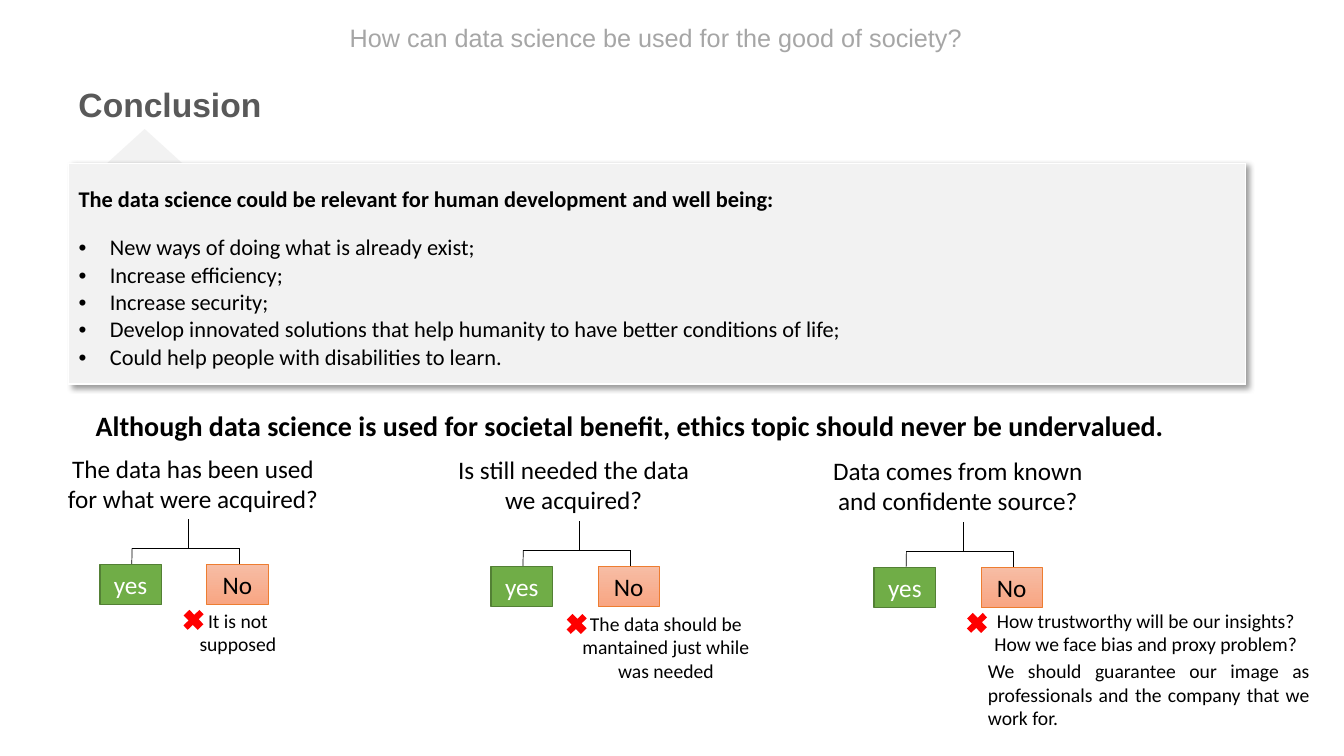
from lxml import etree
from pptx import Presentation
from pptx.dml.color import RGBColor
from pptx.enum.shapes import MSO_CONNECTOR, MSO_SHAPE
from pptx.enum.text import MSO_ANCHOR, PP_ALIGN
from pptx.oxml.ns import qn
from pptx.util import Pt

LEFT, MID, FULL = PP_ALIGN.LEFT, PP_ALIGN.CENTER, PP_ALIGN.JUSTIFY
RECT, PEAK, PLUS = MSO_SHAPE.RECTANGLE, MSO_SHAPE.ISOSCELES_TRIANGLE, MSO_SHAPE.CROSS
LINE = MSO_CONNECTOR.STRAIGHT
TOP, CENTRE = MSO_ANCHOR.TOP, MSO_ANCHOR.MIDDLE
SCALE = 9144
COLORS = {
    "black": "000000", "white": "FFFFFF", "title": "595959", "topic": "A6A6A6",
    "panel": "F2F2F2", "green": "70AD47", "moss": "538035", "orange": "ED7D31",
    "light": "F7BDA5", "salmon": "F8A582", "red": "FF0000",
}
POINTS = [
    "New ways of doing what is already exist;",
    "Increase efficiency;",
    "Increase security;",
    "Develop innovated solutions that help humanity to have better conditions of life;",
    "Could help people with disabilities to learn.",
]
TREES = [
    (131, 544, (51, 445, 281, 71), "The data has been used for what were acquired?"),
    (519, 546, (444, 446, 250, 71), "Is still needed the data we acquired?"),
    (899, 547, (807, 447, 286, 71), "Data comes from known and confidente source?"),
]
NOTES = [
    ((169, 599, 134, 57), ["It is not supposed"], MID),
    ((551, 602, 219, 81), ["The data should be mantained just while was needed"], MID),
    ((967, 599, 339, 57), ["How trustworthy will be our insights?",
                           "How we face bias and proxy problem?"], MID),
    ((970, 649, 339, 81), ["We should guarantee our image as professionals and "
                           "the company that we work for."], FULL),
]
MARKS = [(182, 604), (562, 608), (959, 607)]


def px(*sizes):
    """Turn pixel lengths into EMU."""
    return [size * SCALE for size in sizes]


def tint(name):
    """Return a named colour."""
    return RGBColor.from_string(COLORS[name])


def write(frame, lines, size=18, font="Calibri", color="black", bold=False,
          align=LEFT, after=0, bullet=False, more=False):
    """Write paragraphs into a text frame in one format."""
    frame.word_wrap = True
    for i, line in enumerate(lines):
        para = frame.add_paragraph() if i or more else frame.paragraphs[0]
        para.alignment, para.space_after = align, Pt(after)
        run = para.add_run()
        run.text = line
        run.font.size, run.font.name, run.font.bold = Pt(size), font, bold
        run.font.color.rgb = tint(color)
        if bullet:
            props = para._p.get_or_add_pPr()
            indent, = px(31)
            props.set("marL", str(indent))
            props.set("indent", str(-indent))
            etree.SubElement(props, qn("a:buFont"), typeface="Arial")
            etree.SubElement(props, qn("a:buChar"), char="•")


def label(slide, area, lines, **style):
    """Add a text box."""
    write(slide.shapes.add_textbox(*px(*area)).text_frame, lines, **style)


def shape(slide, kind, area, fill, edge=None, width=1):
    """Add a flat preset shape, with an outline if an edge is given."""
    item = slide.shapes.add_shape(kind, *px(*area))
    item.shadow.inherit = False
    item.fill.solid()
    item.fill.fore_color.rgb = tint(fill)
    if edge:
        item.line.color.rgb = tint(edge)
        item.line.width = Pt(width)
    else:
        item.line.fill.background()
    return item


def line(slide, *ends):
    """Add a thin black line."""
    item = slide.shapes.add_connector(LINE, *px(*ends))
    item.line.color.rgb = tint("black")
    item.line.width = Pt(0.5)
    etree.SubElement(item._element.spPr, qn("a:effectLst"))


def panel(slide):
    """Add the shaded one-cell table of benefits."""
    table = slide.shapes.add_table(1, 1, *px(68, 162, 1167, 219)).table
    table.first_row = table.horz_banding = False
    effects = etree.Element(qn("a:effectLst"))
    shadow = etree.SubElement(effects, qn("a:outerShdw"), blurRad="50800",
                              dist="38100", dir="2700000", algn="tl")
    black = etree.SubElement(shadow, qn("a:srgbClr"), val=COLORS["black"])
    etree.SubElement(black, qn("a:alpha"), val="40000")
    table._tbl.tblPr.insert(0, effects)
    cell = table.cell(0, 0)
    cell.fill.solid()
    cell.fill.fore_color.rgb = tint("panel")
    cell.vertical_anchor = TOP
    cell.margin_top, = px(23)
    write(cell.text_frame,
          ["The data science could be relevant for human development and well being:"],
          size=16, bold=True, after=14.6)
    write(cell.text_frame, POINTS, size=16, bullet=True, more=True)


def tree(slide, x, y, area, ask):
    """Add a question that branches into yes and no."""
    label(slide, area, [ask], align=MID)
    line(slide, x, y, x + 106, y)
    line(slide, x, y, x - 1, y + 56)
    line(slide, x + 106, y, x + 106, y + 56)
    line(slide, x + 56, y, x + 56, y - 29)
    yes = shape(slide, RECT, (x - 32, y + 16, 61, 40), "green", "moss")
    no = shape(slide, RECT, (x + 74, y + 16, 61, 40), "light", "orange", 0.5)
    no.fill.gradient()
    no.fill.gradient_angle = 270
    for stop, name in zip(no.fill.gradient_stops, ("light", "salmon")):
        stop.color.rgb = tint(name)
    for box, word, color in ((yes, "yes", "white"), (no, "No", "black")):
        box.text_frame.vertical_anchor = CENTRE
        write(box.text_frame, [word], color=color, align=MID)


def mark(slide, x, y):
    """Add a red cross."""
    item = shape(slide, PLUS, (x, y, 20, 22), "red")
    item.adjustments[0] = 0.35
    item.rotation = 45.8


def main():
    """Build and save the slide."""
    deck = Presentation()
    deck.slide_width, deck.slide_height = px(1333, 750)
    slide = deck.slides.add_slide(deck.slide_layouts[6])
    label(slide, (337, 17, 646, 40),
          ["How can data science be used for the good of society?"],
          font="Arial", color="topic")
    label(slide, (68, 78, 265, 50), ["Conclusion"],
          size=24, font="Arial", color="title", bold=True)
    shape(slide, PEAK, (105, 128, 77, 35), "panel")
    panel(slide)
    label(slide, (85, 400, 1095, 44),
          ["Although data science is used for societal benefit, "
           "ethics topic should never be undervalued."], size=20, bold=True)
    for branch in TREES:
        tree(slide, *branch)
    for area, lines, align in NOTES:
        label(slide, area, lines, size=14, align=align)
    for spot in MARKS:
        mark(slide, *spot)
    deck.save("out.pptx")


if __name__ == "__main__":
    main()
